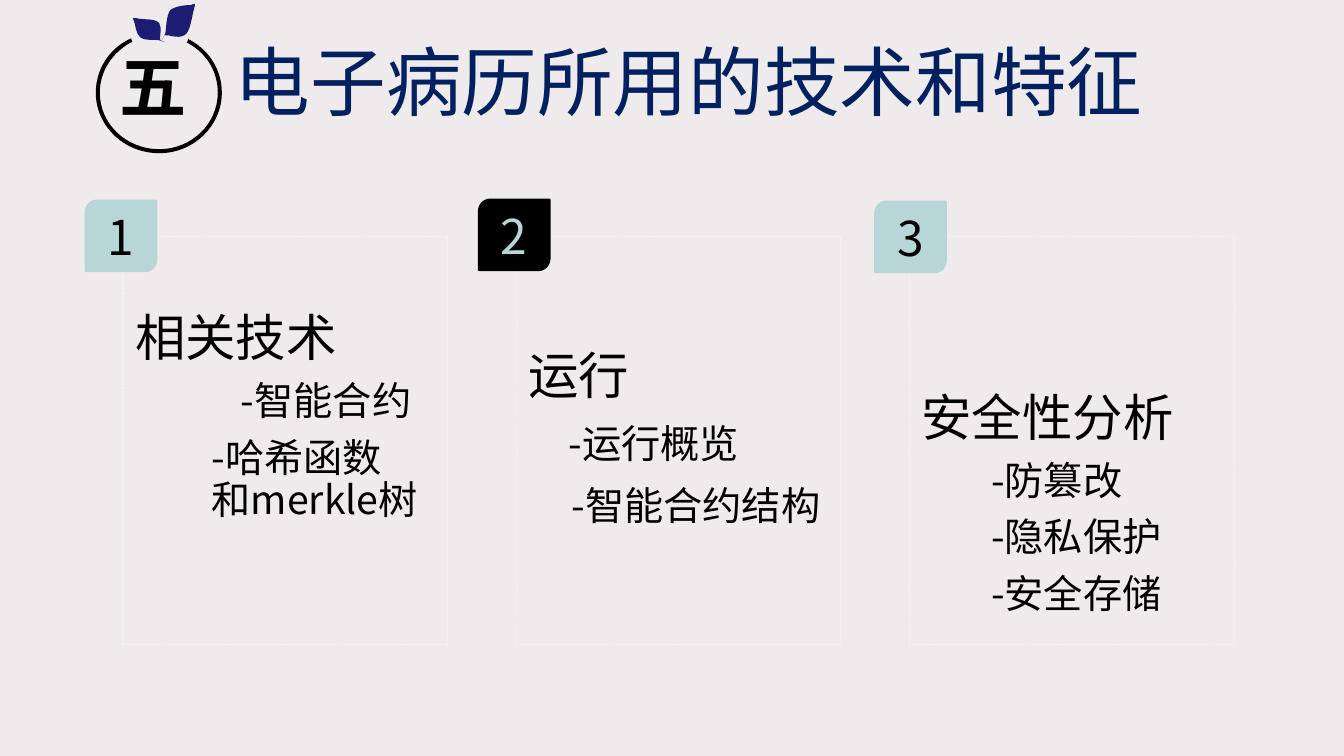
"""Build the section slide on techniques and features of electronic medical records."""
from lxml import etree
from pptx import Presentation
from pptx import util as u
from pptx.dml.color import RGBColor
from pptx.enum import dml, shapes, text
from pptx.oxml import ns

FONT = "Noto Sans CJK SC"
BACKGROUND = RGBColor(0xEF, 0xEB, 0xEC)
NAVY = RGBColor(0x00, 0x20, 0x60)
LEAF = RGBColor(0x1C, 0x1C, 0x73)
TEAL = RGBColor(0xB8, 0xD5, 0xD7)
PALE = RGBColor(0xF2, 0xF2, 0xF2)
BLACK = RGBColor(0, 0, 0)

TITLE = "电子病历所用的技术和特征"
SECTION = "五"
CARDS = [
    {"heading": "相关技术", "top_inset": 0.76, "gap": 10,
     "items": [("-智能合约", 1.05), ("-哈希函数\v和merkle树", 0.76)],
     "tab": (0.84, 1.98), "tab_fill": TEAL, "tab_text": BLACK},
    {"heading": "运行", "top_inset": 1.13, "gap": 14,
     "items": [("-运行概览", 0.4), ("-智能合约结构", 0.43)],
     "tab": (4.74, 1.97), "tab_fill": BLACK, "tab_text": TEAL},
    {"heading": "安全性分析", "top_inset": 1.55, "gap": 10,
     "items": [("-防篡改", 0.69), ("-隐私保护", 0.69), ("-安全存储", 0.69)],
     "tab": (8.67, 1.99), "tab_fill": TEAL, "tab_text": BLACK},
]
CARD_LEFT, CARD_TOP, CARD_WIDTH, CARD_HEIGHT, CARD_STEP = 1.22, 2.35, 3.22, 4.04, 3.9
TAB_SIZE = 0.72

LEFT_LEAF = [
    (1.64, 0.42), (1.58, 0.4),
    (1.54, 0.39, 1.44, 0.41, 1.39, 0.37), (1.35, 0.34, 1.34, 0.24, 1.33, 0.21),
    (1.32, 0.18, 1.3, 0.18, 1.35, 0.18), (1.42, 0.2, 1.54, 0.18, 1.58, 0.23),
    (1.61, 0.28, 1.58, 0.37, 1.59, 0.4)]
RIGHT_LEAF = [
    (1.6, 0.41), (1.64, 0.33),
    (1.65, 0.28, 1.65, 0.15, 1.69, 0.1), (1.74, 0.06, 1.85, 0.05, 1.89, 0.05),
    (1.93, 0.04, 1.94, 0.02, 1.93, 0.07), (1.9, 0.17, 1.89, 0.32, 1.83, 0.35),
    (1.76, 0.39, 1.67, 0.34, 1.63, 0.35)]
RING = [
    (1.3, 0.38), (1.28, 0.39),
    (1.08, 0.49, 0.95, 0.69, 0.95, 0.92), (0.95, 1.25, 1.23, 1.52, 1.58, 1.52),
    (1.92, 1.52, 2.2, 1.25, 2.2, 0.92), (2.2, 0.69, 2.07, 0.49, 1.87, 0.39),
    (1.87, 0.38), (1.86, 0.41), (1.85, 0.42), (1.9, 0.45),
    (2.06, 0.55, 2.16, 0.72, 2.16, 0.92), (2.16, 1.23, 1.9, 1.48, 1.58, 1.48),
    (1.25, 1.48, 0.99, 1.23, 0.99, 0.92), (0.99, 0.7, 1.12, 0.52, 1.3, 0.42),
    (1.31, 0.42), (1.31, 0.41), (1.31, 0.4, 1.3, 0.39, 1.3, 0.38)]
EMBLEM = [(LEFT_LEAF, LEAF), (RIGHT_LEAF, LEAF), (RING, BLACK)]


def style(paragraph, size, color, bold=False):
    for run in paragraph.runs:
        run.font.size, run.font.bold = u.Pt(size), bold
        run.font.name, run.font.color.rgb = FONT, color
        east_asian = etree.SubElement(run.font._element, ns.qn("a:ea"))
        east_asian.set("typeface", FONT)


def add_outline(slide, outline, color):
    segments = [[u.Inches(value) for value in segment] for segment in outline]
    builder = slide.shapes.build_freeform(*segments[0])
    builder.add_line_segments([segment[-2:] for segment in segments[1:]], close=True)
    shape = builder.convert_to_shape()
    lines = list(shape._element.iter(ns.qn("a:lnTo")))
    for line, segment in zip(lines, segments[1:]):
        if len(segment) == 6:
            line.tag = ns.qn("a:cubicBezTo")
            line.remove(line[0])
            for x, y in zip(segment[::2], segment[1::2]):
                point = etree.SubElement(line, ns.qn("a:pt"))
                point.set("x", str(x - shape.left))
                point.set("y", str(y - shape.top))
    shape.shadow.inherit = False
    shape.fill.solid()
    shape.fill.fore_color.rgb = color
    shape.line.fill.background()


def add_label(slide, box, content, size, color, bold=False, alignment=text.PP_ALIGN.LEFT):
    shape = slide.shapes.add_textbox(*map(u.Inches, box))
    shape.text_frame.word_wrap = True
    shape.text_frame.text = content
    paragraph = shape.text_frame.paragraphs[0]
    paragraph.alignment = alignment
    style(paragraph, size, color, bold)
    return paragraph


def add_card(slide, index, card):
    shape = slide.shapes.add_shape(
        shapes.MSO_SHAPE.RECTANGLE, u.Inches(CARD_LEFT + index * CARD_STEP),
        u.Inches(CARD_TOP), u.Inches(CARD_WIDTH), u.Inches(CARD_HEIGHT))
    shape.shadow.inherit = False
    shape.fill.background()
    shape.line.color.rgb = PALE
    shape.line.width = u.Pt(0.75)
    shape.line.dash_style = dml.MSO_LINE.SQUARE_DOT
    frame = shape.text_frame
    frame.word_wrap = True
    frame.vertical_anchor = text.MSO_ANCHOR.TOP
    frame.margin_left, frame.margin_right = u.Inches(0.12), u.Inches(0.04)
    frame.margin_top = u.Inches(card["top_inset"])
    lines = [(card["heading"], 0, 36, 10)]
    lines += [(item, indent, 28, card["gap"]) for item, indent in card["items"]]
    for number, (content, indent, size, gap) in enumerate(lines):
        paragraph = frame.add_paragraph() if number else frame.paragraphs[0]
        paragraph.text = content
        paragraph.alignment = text.PP_ALIGN.LEFT
        paragraph.line_spacing, paragraph.space_before = 0.9, u.Pt(gap)
        paragraph._p.get_or_add_pPr().set("marL", str(u.Inches(indent)))
        style(paragraph, size, BLACK)


def add_tab(slide, number, card):
    left, top = map(u.Inches, card["tab"])
    shape = slide.shapes.add_shape(
        shapes.MSO_SHAPE.ROUND_2_DIAG_RECTANGLE, left, top,
        u.Inches(TAB_SIZE), u.Inches(TAB_SIZE))
    shape.adjustments[0], shape.adjustments[1] = 0.17, 0.02
    shape.shadow.inherit = False
    shape.fill.solid()
    shape.fill.fore_color.rgb = card["tab_fill"]
    shape.line.fill.background()
    shape.text_frame.text = str(number)
    shape.text_frame.vertical_anchor = text.MSO_ANCHOR.MIDDLE
    paragraph = shape.text_frame.paragraphs[0]
    paragraph.alignment = text.PP_ALIGN.CENTER
    style(paragraph, 34.2, card["tab_text"])


def main():
    presentation = Presentation()
    presentation.slide_width, presentation.slide_height = u.Inches(13.33), u.Inches(7.5)
    slide = presentation.slides.add_slide(presentation.slide_layouts[6])
    slide.background.fill.solid()
    slide.background.fill.fore_color.rgb = BACKGROUND
    for index, card in enumerate(CARDS):
        add_card(slide, index, card)
        add_tab(slide, index + 1, card)
    title = add_label(slide, (1.08, 0.4, 11.5, 1.45), TITLE, 54, NAVY,
                      alignment=text.PP_ALIGN.CENTER)
    title.line_spacing = 0.9
    for outline, color in EMBLEM:
        add_outline(slide, outline, color)
    add_label(slide, (1.09, 0.4, 1, 0.9), SECTION, 48, BLACK, bold=True)
    presentation.save("out.pptx")


if __name__ == "__main__":
    main()
